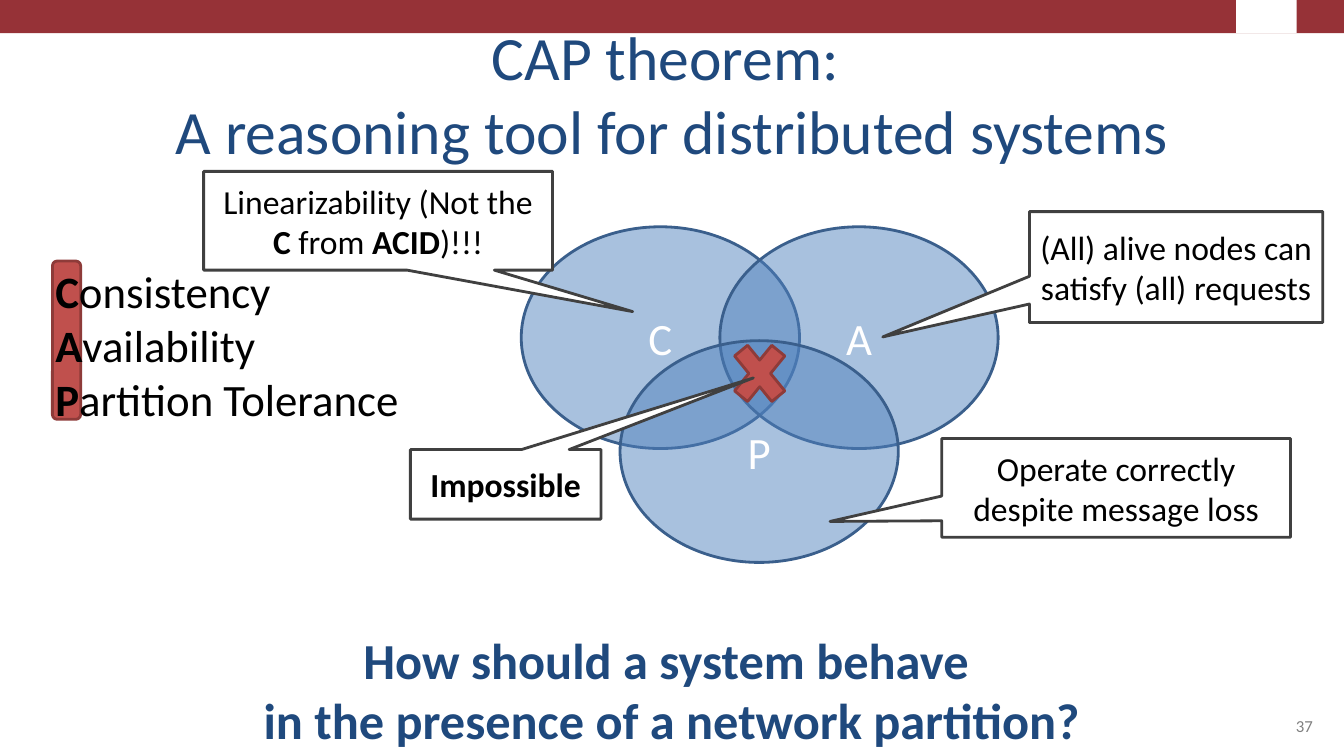
from dataclasses import dataclass

from lxml import etree
from pptx import Presentation
from pptx.dml.color import RGBColor
from pptx.enum import shapes, text
from pptx.oxml.ns import qn
from pptx.util import Inches, Pt

NAVY, WHITE, BLACK, GREY = "1F497D", "FFFFFF", "000000", "808080"
BAND, RED, RED_EDGE = "963237", "C0504D", "8E3B39"
BLUE, BLUE_EDGE, CALLOUT_EDGE = "4F81BD", "3A5F8C", "404040"
KIND = shapes.MSO_SHAPE
CENTER, MIDDLE = text.PP_ALIGN.CENTER, text.MSO_ANCHOR.MIDDLE
BOTTOM = text.MSO_ANCHOR.BOTTOM

Box = tuple[float, float, float, float]


@dataclass
class Circle:
    letter: str
    left: float
    top: float


@dataclass
class Callout:
    words: str
    box: Box
    tip: tuple[float, float]


CIRCLES = [Circle("C", 5.17, 2.25), Circle("A", 7.14, 2.25), Circle("P", 6.15, 3.38)]
CIRCLE_SIZE = (2.76, 2.2)

CALLOUTS = [
    Callout("(All) alive nodes can satisfy (all) requests", (10.21, 2.1, 2.91, 1.1), (-1.0, 0.63)),
    Callout("Linearizability (Not the *C* from *ACID*)!!!", (2.02, 1.7, 3.46, 0.98), (0.73, 0.92)),
    Callout("Operate correctly despite message loss", (9.34, 4.35, 3.46, 0.98), (-0.82, 0.34)),
    Callout("*Impossible*", (4.07, 4.46, 1.89, 0.69), (1.3, -1.53)),
]


def color(value: str) -> RGBColor:
    return RGBColor.from_string(value)


def write(shape, words: str, *, size: float, ink: str = BLACK,
          align=text.PP_ALIGN.LEFT, anchor=text.MSO_ANCHOR.TOP) -> None:
    """Fill a shape with text: *bold*, \\n for a paragraph, \\v for a line break."""
    frame = shape.text_frame
    frame.word_wrap = True
    frame.vertical_anchor = anchor
    bold = False
    for index, line in enumerate(words.split("\n")):
        paragraph = frame.paragraphs[0] if index == 0 else frame.add_paragraph()
        paragraph.alignment = align
        for row, part in enumerate(line.split("\v")):
            if row:
                paragraph.add_line_break()
            for position, piece in enumerate(part.split("*")):
                if position:
                    bold = not bold
                if not piece:
                    continue
                run = paragraph.add_run()
                run.text = piece
                run.font.name = "Calibri"
                run.font.size = Pt(size)
                run.font.bold = bold
                run.font.color.rgb = color(ink)


def add_shape(slide, kind, box: Box, fill: str, edge: str | None = None,
              opacity: int = 100):
    shape = slide.shapes.add_shape(kind, *map(Inches, box))
    shape.shadow.inherit = False
    shape.fill.solid()
    shape.fill.fore_color.rgb = color(fill)
    if opacity < 100:
        srgb = shape.fill._xPr.find(".//" + qn("a:srgbClr"))
        etree.SubElement(srgb, qn("a:alpha")).set("val", str(opacity * 1000))
    if edge:
        shape.line.color.rgb = color(edge)
        shape.line.width = Pt(2)
    else:
        shape.line.fill.background()
    return shape


def add_text(slide, box: Box, words: str, **style) -> None:
    write(slide.shapes.add_textbox(*map(Inches, box)), words, **style)


def main() -> None:
    deck = Presentation()
    deck.slide_width, deck.slide_height = Inches(13.33), Inches(7.5)
    slide = deck.slides.add_slide(deck.slide_layouts[6])

    add_shape(slide, KIND.RECTANGLE, (0, 0, 13.33, 0.33), BAND)
    add_shape(slide, KIND.RECTANGLE, (12.26, 0, 0.6, 0.33), WHITE)

    add_shape(slide, KIND.ROUNDED_RECTANGLE, (0.52, 2.59, 0.28, 1.57), RED, RED_EDGE)
    add_text(slide, (0.45, 2.57, 3.94, 1.72),
             "*C*onsistency\n*A*vailability\n*P*artition Tolerance", size=32)
    add_text(slide, (0.67, 0.3, 12, 1.4),
             "CAP theorem: \vA reasoning tool for distributed systems",
             size=44, ink=NAVY, align=CENTER, anchor=BOTTOM)
    add_text(slide, (9.56, 6.83, 3.56, 0.52), "37",
             size=12, ink=GREY, align=text.PP_ALIGN.RIGHT, anchor=BOTTOM)
    add_text(slide, (0, 6.19, 13.33, 1.31),
             "*How should a system behave \vin the presence of a network partition?*",
             size=36, ink=NAVY, align=CENTER)

    for circle in CIRCLES:
        oval = add_shape(slide, KIND.OVAL, (circle.left, circle.top, *CIRCLE_SIZE),
                         BLUE, BLUE_EDGE, opacity=49)
        write(oval, circle.letter, size=32, ink=WHITE, align=CENTER, anchor=MIDDLE)

    add_shape(slide, KIND.MATH_MULTIPLY, (7.18, 3.27, 0.71, 0.87), RED, RED_EDGE)

    for callout in CALLOUTS:
        bubble = add_shape(slide, KIND.RECTANGULAR_CALLOUT, callout.box, WHITE, CALLOUT_EDGE)
        bubble.adjustments[0], bubble.adjustments[1] = callout.tip
        write(bubble, callout.words, size=24, align=CENTER, anchor=MIDDLE)

    deck.save("out.pptx")


if __name__ == "__main__":
    main()
